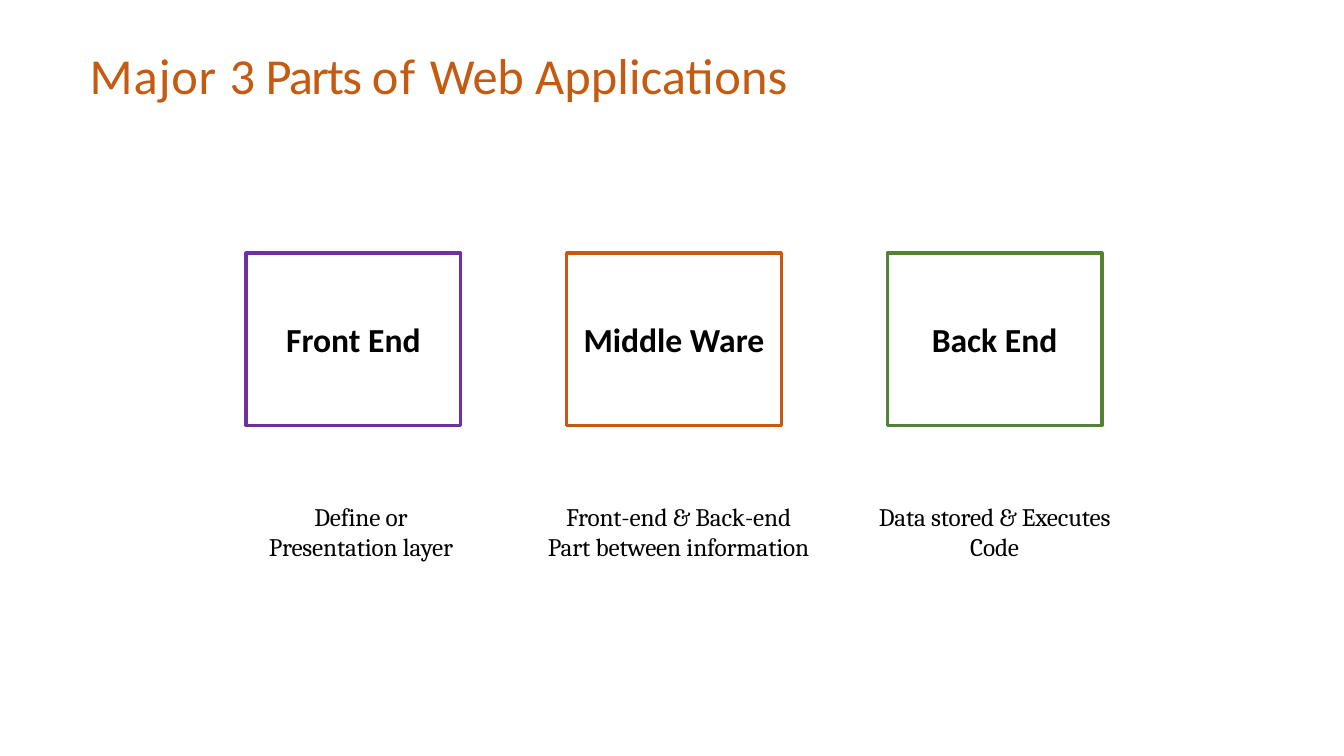
from pptx import Presentation
from pptx.dml.color import RGBColor
from pptx.enum import shapes, text
from pptx.util import Inches, Pt

COLORS = {
    "black": "000000",
    "purple": "7030A0",
    "orange": "C55A11",
    "green": "548235",
}

# Title words with their letter spacing in points
TITLE = [("Major ", 0.6), ("3 ", -0.7), ("Parts ", -1.2),
         ("of ", 1.1), ("Web ", -0.2), ("Applications", 0.1)]

# Name, outline colour, caption, caption left and width
PARTS = [
    ("Front End", "purple", "Define or\nPresentation layer", 2.59, 1.98),
    ("Middle Ware", "orange", "Front-end & Back-end\nPart between information", 5.34, 2.78),
    ("Back End", "green", "Data stored & Executes\nCode", 8.62, 2.49),
]
BOX_LEFT, BOX_TOP, BOX_WIDTH, BOX_HEIGHT = 2.44, 2.51, 2.13, 1.71
BOX_STEP = 3.18


def rgb(name):
    return RGBColor.from_string(COLORS[name])


def style_span(span, font, size, color, bold=False, spacing=0):
    span.font.name = font
    span.font.size = Pt(size)
    span.font.bold = bold
    span.font.color.rgb = rgb(color)
    if spacing:
        span._r.get_or_add_rPr().set("spc", str(round(spacing * 100)))


def add_text_box(page, left, top, width, height):
    box = page.shapes.add_textbox(Inches(left), Inches(top), Inches(width), Inches(height))
    frame = box.text_frame
    frame.word_wrap = True
    frame.margin_left = frame.margin_right = frame.margin_bottom = 0
    frame.margin_top = Inches(0.02)
    return frame


def add_title(page):
    frame = add_text_box(page, 0.89, 0.41, 7.56, 0.63)
    frame.vertical_anchor = text.MSO_ANCHOR.MIDDLE
    for word, spacing in TITLE:
        span = frame.paragraphs[0].add_run()
        span.text = word
        style_span(span, "Calibri", 36, "orange", spacing=spacing)


def add_part_box(page, left, name, color):
    box = page.shapes.add_shape(shapes.MSO_SHAPE.RECTANGLE, Inches(left), Inches(BOX_TOP),
                                Inches(BOX_WIDTH), Inches(BOX_HEIGHT))
    box.shadow.inherit = False
    box.fill.background()
    box.line.color.rgb = rgb(color)
    box.line.width = Pt(2.25)
    frame = box.text_frame
    frame.text = name
    frame.vertical_anchor = text.MSO_ANCHOR.MIDDLE
    para = frame.paragraphs[0]
    para.alignment = text.PP_ALIGN.CENTER
    style_span(para.runs[0], "Calibri", 24, "black", bold=True)


def add_caption(page, left, width, caption):
    frame = add_text_box(page, left, 4.95, width, 0.63)
    frame.text = caption
    for para in frame.paragraphs:
        para.alignment = text.PP_ALIGN.CENTER
        style_span(para.runs[0], "Cambria", 18, "black", spacing=-0.1)


def main():
    deck = Presentation()
    deck.slide_width, deck.slide_height = Inches(13.33), Inches(7.5)
    page = deck.slides.add_slide(deck.slide_layouts[6])

    add_title(page)

    # One outlined box with a caption below for each part
    for index, (name, color, caption, left, width) in enumerate(PARTS):
        add_caption(page, left, width, caption)
        add_part_box(page, BOX_LEFT + index * BOX_STEP, name, color)

    deck.save("out.pptx")


if __name__ == "__main__":
    main()
